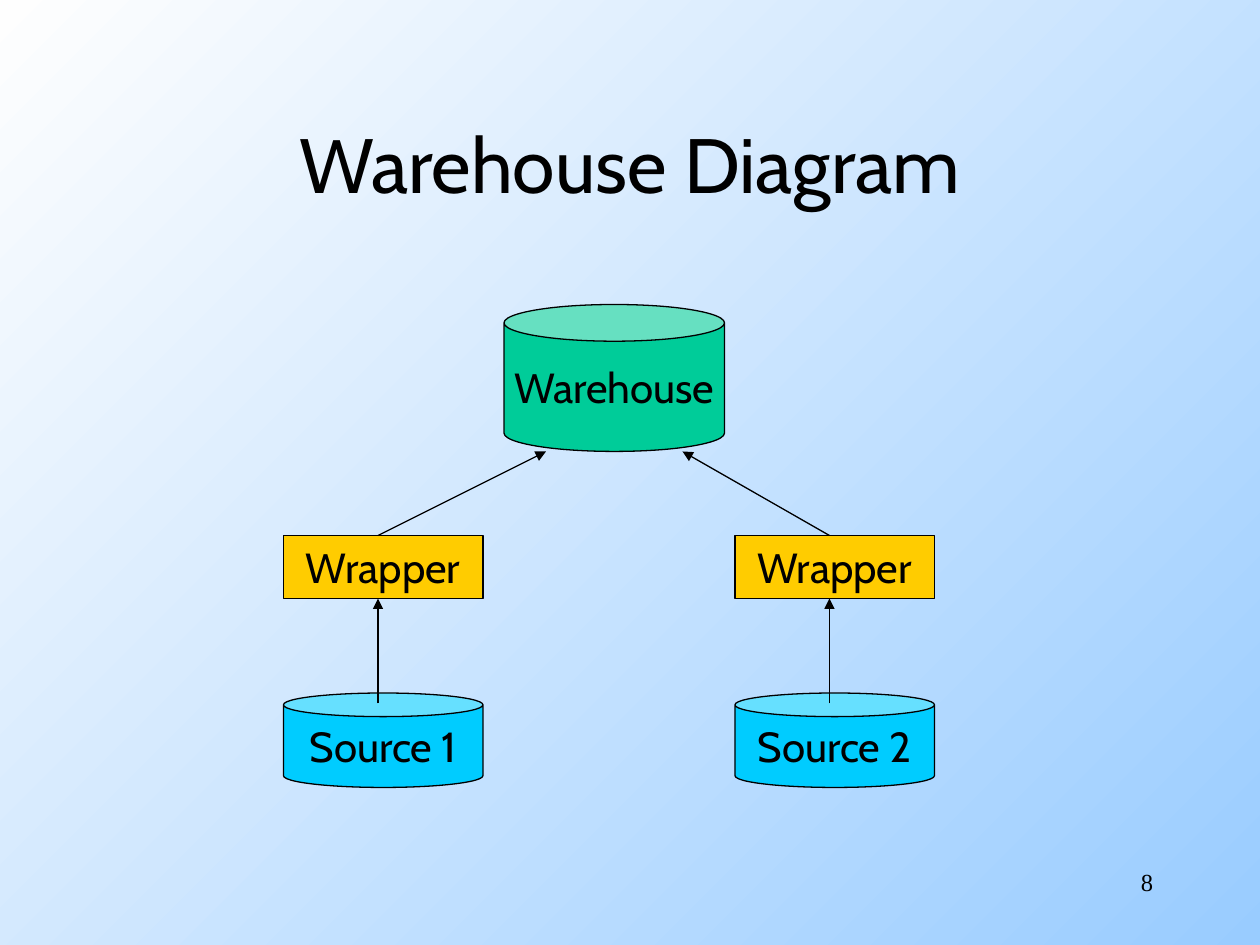
from lxml import etree
from pptx import Presentation
from pptx.dml.color import RGBColor
from pptx.enum import shapes, text
from pptx.oxml import ns
from pptx.util import Pt

BLACK = RGBColor(0x00, 0x00, 0x00)
PALE = RGBColor(0xFE, 0xFE, 0xFE)
SKY = RGBColor(0x99, 0xCC, 0xFF)
GREEN = RGBColor(0x00, 0xCC, 0x99)
AMBER = RGBColor(0xFF, 0xCC, 0x00)
CYAN = RGBColor(0x00, 0xCC, 0xFF)

CAN = shapes.MSO_SHAPE.CAN
RECTANGLE = shapes.MSO_SHAPE.RECTANGLE

NODE_WIDTH = 114
WRAPPER_TOP, WRAPPER_HEIGHT = 306, 36
SOURCE_TOP, SOURCE_HEIGHT = 396, 54
WAREHOUSE_TOP, WAREHOUSE_HEIGHT = 174, 84
ARROW_INSET = 54


def set_background(slide):
    fill = slide.background.fill
    fill.gradient()
    fill.gradient_angle = 135
    for stop, color, position in zip(fill.gradient_stops, (SKY, PALE), (0, 1)):
        stop.color.rgb = color
        stop.position = position


def write(shape, content, size=24, font="Cabin", align=text.PP_ALIGN.CENTER,
          anchor=text.MSO_ANCHOR.MIDDLE, wrap=True):
    frame = shape.text_frame
    frame.word_wrap = wrap
    frame.vertical_anchor = anchor
    paragraph = frame.paragraphs[0]
    paragraph.alignment = align
    run = paragraph.add_run()
    run.text = content
    run.font.size = Pt(size)
    run.font.name = font
    run.font.color.rgb = BLACK


def add_label(slide, content, left, top, width, height, **style):
    box = slide.shapes.add_textbox(Pt(left), Pt(top), Pt(width), Pt(height))
    write(box, content, **style)


def add_node(slide, kind, label, color, left, top, width, height):
    node = slide.shapes.add_shape(kind, Pt(left), Pt(top), Pt(width), Pt(height))
    node.shadow.inherit = False
    node.fill.solid()
    node.fill.fore_color.rgb = color
    node.line.color.rgb = BLACK
    node.line.width = Pt(0.75)
    write(node, label, wrap=False)


def add_arrow(slide, x1, y1, x2, y2):
    arrow = slide.shapes.add_connector(
        shapes.MSO_CONNECTOR.STRAIGHT, Pt(x1), Pt(y1), Pt(x2), Pt(y2))
    arrow.line.color.rgb = BLACK
    arrow.line.width = Pt(0.75)
    etree.SubElement(arrow.line._get_or_add_ln(), ns.qn("a:tailEnd"), type="triangle")
    etree.SubElement(arrow._element.spPr, ns.qn("a:effectLst"))


def main():
    deck = Presentation()
    deck.slide_width, deck.slide_height = Pt(720), Pt(540)
    slide = deck.slides.add_slide(deck.slide_layouts[6])
    set_background(slide)

    add_label(slide, "Warehouse Diagram", 54, 48, 612, 90, size=44)
    add_node(slide, CAN, "Warehouse", GREEN, 288, WAREHOUSE_TOP, 126, WAREHOUSE_HEIGHT)

    # Each branch: source label, left edge, x where its arrow meets the warehouse
    branches = (("Source 1", 162, 312), ("Source 2", 420, 390))
    for source, left, warehouse_x in branches:
        add_node(slide, RECTANGLE, "Wrapper", AMBER,
                 left, WRAPPER_TOP, NODE_WIDTH, WRAPPER_HEIGHT)
        add_node(slide, CAN, source, CYAN,
                 left, SOURCE_TOP, NODE_WIDTH, SOURCE_HEIGHT)
        x = left + ARROW_INSET
        add_arrow(slide, x, SOURCE_TOP + 6, x, WRAPPER_TOP + WRAPPER_HEIGHT)
        add_arrow(slide, x, WRAPPER_TOP, warehouse_x, WAREHOUSE_TOP + WAREHOUSE_HEIGHT)

    add_label(slide, "8", 516, 492, 150, 36, size=14, font="Times New Roman",
              align=text.PP_ALIGN.RIGHT, anchor=text.MSO_ANCHOR.TOP)
    deck.save("out.pptx")


if __name__ == "__main__":
    main()
